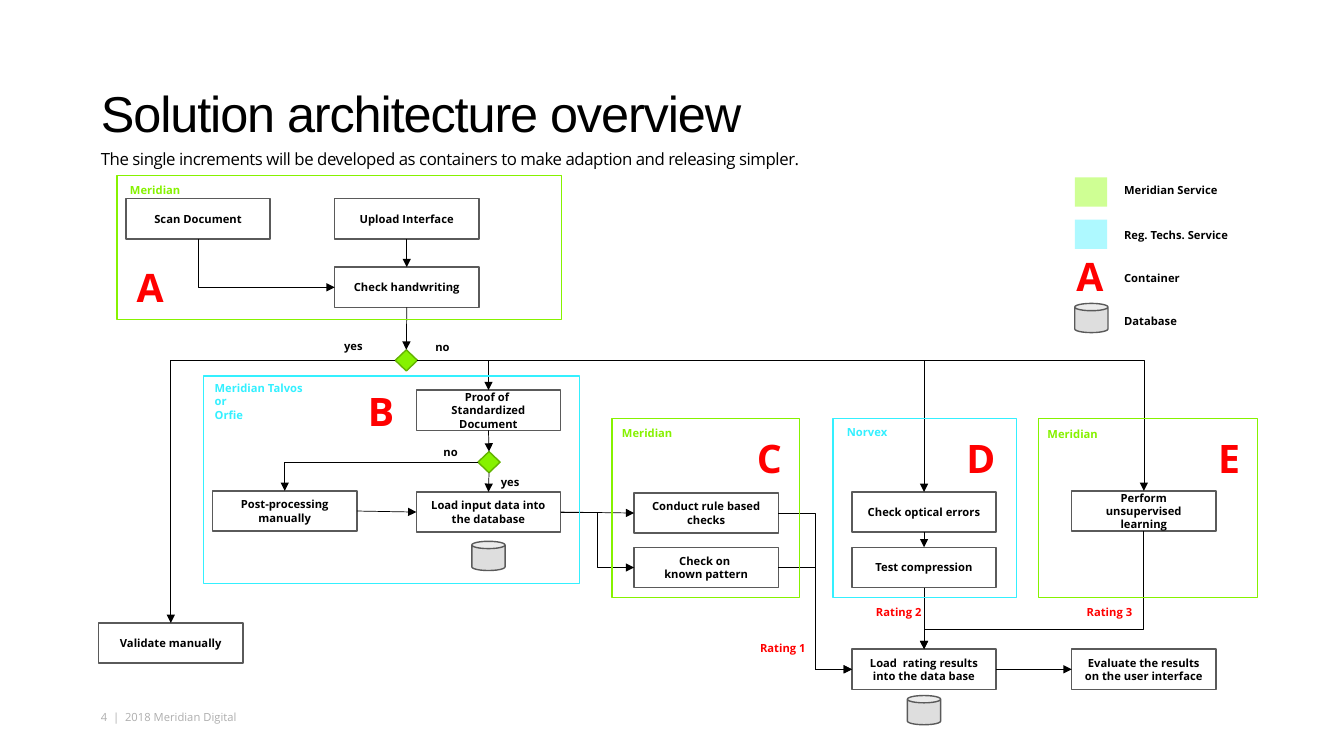
"""Build the solution architecture overview slide."""
import pptx
import pptx.dml.color
import pptx.enum.shapes
import pptx.enum.text
import pptx.oxml
import pptx.oxml.ns
import pptx.util

Inches = pptx.util.Inches
RGBColor = pptx.dml.color.RGBColor
Shape = pptx.enum.shapes.MSO_SHAPE
Connector = pptx.enum.shapes.MSO_CONNECTOR
Anchor = pptx.enum.text.MSO_ANCHOR
Align = pptx.enum.text.PP_ALIGN

BLACK = RGBColor(0x00, 0x00, 0x00)
WHITE = RGBColor(0xFF, 0xFF, 0xFF)
RED = RGBColor(0xFF, 0x00, 0x00)
GREEN = RGBColor(0x86, 0xF2, 0x00)
DARK_GREEN = RGBColor(0x63, 0xB3, 0x00)
PALE_GREEN = RGBColor(0xCF, 0xFF, 0x94)
CYAN = RGBColor(0x34, 0xF0, 0xFF)
PALE_CYAN = RGBColor(0xAE, 0xF9, 0xFF)
GREY = RGBColor(0x5A, 0x5A, 0x5A)
LIGHT_GREY = RGBColor(0xDE, 0xDE, 0xDE)
FOOTER_GREY = RGBColor(0xAE, 0xAE, 0xAE)

BOX_SIZE = (1.43, 0.4)
DIAMOND_SIZE = (0.22, 0.21)
CAN_SIZE = (0.33, 0.29)
LETTER_SIZE = (0.56, 0.49)

BOXES = {
    "handwriting": (3.32, 2.65, "Check handwriting"),
    "scan": (1.25, 1.97, "Scan Document"),
    "upload": (3.32, 1.97, "Upload Interface"),
    "proof": (4.13, 3.87, "Proof of \nStandardized Document"),
    "validate": (0.98, 6.18, "Validate manually"),
    "post": (2.11, 4.87, "Post-processing manually"),
    "load": (4.13, 4.88, "Load input data into the database"),
    "rules": (6.29, 4.89, "Conduct rule based checks"),
    "ratings": (8.45, 6.44, "Load  rating results into the data base"),
    "optical": (8.45, 4.88, "Check optical errors"),
    "compression": (8.45, 5.43, "Test compression"),
    "learning": (10.63, 4.87, "Perform unsupervised learning"),
    "evaluate": (10.63, 6.44, "Evaluate the results on the user interface"),
    "pattern": (6.29, 5.43, "Check on \nknown pattern"),
}
DIAMONDS = {"handwritten": (3.92, 3.47), "standard": (4.74, 4.48)}
FLOWS = [
    ("upload", "bottom", "handwriting", "top"),
    ("handwriting", "bottom", "handwritten", "top"),
    ("scan", "bottom", "handwriting", "left"),
    ("ratings", "right", "evaluate", "left"),
    ("handwritten", "left", "validate", "top"),
    ("standard", "left", "post", "top"),
    ("proof", "bottom", "standard", "top"),
    ("standard", "bottom", "load", "top"),
    ("post", "right", "load", "left"),
    ("load", "right", "rules", "left"),
    ("load", "right", "pattern", "left"),
    ("handwritten", "right", "proof", "top"),
    ("optical", "bottom", "compression", "top"),
    ("compression", "bottom", "ratings", "top"),
    ("rules", "right", "ratings", "left"),
    ("pattern", "right", "ratings", "left"),
    ("learning", "bottom", "ratings", "top", 0.83),
    ("handwritten", "right", "optical", "top"),
    ("handwritten", "right", "learning", "top"),
]
CONTAINERS = [
    (1.16, 1.74, 4.41, 1.43, GREEN),
    (10.3, 4.15, 2.17, 1.78, GREEN),
    (8.26, 4.15, 1.82, 1.78, CYAN),
    (2.02, 3.73, 3.73, 2.06, CYAN),
    (6.07, 4.15, 1.86, 1.78, GREEN),
]
LETTERS = [(1.21, 2.6, "A"), (3.5, 3.83, "B"), (7.35, 4.3, "C"),
           (9.45, 4.3, "D"), (11.91, 4.3, "E"), (10.53, 2.49, "A")]
ANSWERS = [(3.16, 3.29, 0.69, 0.29, "yes"), (4.11, 3.31, 0.56, 0.27, "no"),
           (4.19, 4.35, 0.56, 0.27, "no"), (4.84, 4.63, 0.44, 0.3, "yes")]
LABELS = [
    (2.03, 3.77, 1.41, 0.42, "Meridian Talvos \nor \nOrfie", CYAN),
    (8.3, 4.16, 1.41, 0.25, "Norvex", CYAN),
    (1.19, 1.76, 1.41, 0.25, "Meridian", GREEN),
    (6.07, 4.17, 1.41, 0.25, "Meridian", GREEN),
    (10.29, 4.18, 1.41, 0.25, "Meridian", GREEN),
    (7.44, 6.27, 0.83, 0.32, "Rating 1", RED),
    (8.59, 5.91, 0.83, 0.32, "Rating 2", RED),
    (10.68, 5.91, 0.83, 0.32, "Rating 3", RED),
    (11.05, 1.76, 1.41, 0.26, "Meridian Service", BLACK),
    (11.05, 2.2, 1.41, 0.27, "Reg. Techs. Service", BLACK),
    (11.05, 2.62, 1.41, 0.27, "Container", BLACK),
    (11.05, 3.05, 1.41, 0.27, "Database", BLACK),
]
CANS = [(4.68, 5.37), (9, 6.9), (10.66, 3.01)]
SWATCHES = [(10.66, 1.76, PALE_GREEN), (10.66, 2.18, PALE_CYAN)]


def apply_format(target, values):
    for name, value in values.items():
        setattr(target, name, value)


def write_text(shape, text, size=8, color=BLACK, bold=True, align=Align.LEFT,
               font="Open Sans", spacing=None, **frame_format):
    frame = shape.text_frame
    apply_format(frame, {"word_wrap": True, "vertical_anchor": Anchor.MIDDLE, **frame_format})
    paragraph = frame.paragraphs[0]
    paragraph.text = text.replace("\n", "\v")
    paragraph.alignment = align
    for run in paragraph.runs:
        apply_format(run.font, {"name": font, "size": pptx.util.Pt(size), "bold": bold})
        run.font.color.rgb = color
        if spacing is not None:
            run._r.get_or_add_rPr().set("spc", str(spacing))
    return paragraph


def add_label(slide, bounds, text, **text_format):
    shape = slide.shapes.add_textbox(*map(Inches, bounds))
    return write_text(shape, text, **text_format)


def add_block(slide, kind, bounds, fill=None, line=None):
    shape = slide.shapes.add_shape(kind, *map(Inches, bounds))
    shape.shadow.inherit = False
    if fill is None:
        shape.fill.background()
    else:
        shape.fill.solid()
        shape.fill.fore_color.rgb = fill
    if line is None:
        shape.line.fill.background()
    else:
        shape.line.color.rgb = line
        shape.line.width = pptx.util.Pt(1)
    return shape


def side_point(shape, side):
    across = {"left": 0, "right": 1}.get(side, 0.5)
    down = {"top": 0, "bottom": 1}.get(side, 0.5)
    return shape.left + across * shape.width, shape.top + down * shape.height


def add_flow(slide, nodes, source, source_side, target, target_side, bend=0.5):
    """Join two nodes with an arrow whose route follows from the sides it leaves and enters."""
    start_x, start_y = side_point(nodes[source], source_side)
    end_x, end_y = side_point(nodes[target], target_side)
    width, height = end_x - start_x, end_y - start_y
    vertical = source_side in ("top", "bottom")
    same_axis = vertical == (target_side in ("top", "bottom"))
    straight = same_axis and min(abs(width), abs(height)) < Inches(0.05)
    ends = [start_x, start_y, end_x, end_y]
    turned = vertical and not straight
    if turned:
        middle_x, middle_y = (start_x + end_x) / 2, (start_y + end_y) / 2
        ends = [middle_x - height / 2, middle_y + width / 2,
                middle_x + height / 2, middle_y - width / 2]
    kind = Connector.STRAIGHT if straight else Connector.ELBOW
    connector = slide.shapes.add_connector(kind, *map(int, ends))
    connector.line.color.rgb = BLACK
    connector.line.width = pptx.util.Pt(0.5)
    properties = connector._element.spPr
    if turned:
        properties.find(pptx.oxml.ns.qn("a:xfrm")).set("rot", "5400000")
    geometry = properties.find(pptx.oxml.ns.qn("a:prstGeom"))
    if not same_axis:
        geometry.set("prst", "bentConnector2")
    elif not straight:
        adjustments = geometry.find(pptx.oxml.ns.qn("a:avLst"))
        guide = pptx.oxml.parse_xml(f'<a:gd {pptx.oxml.ns.nsdecls("a")} name="adj1" fmla="val {round(bend * 100000)}"/>')
        adjustments.append(guide)
    arrow = pptx.oxml.parse_xml(f'<a:tailEnd {pptx.oxml.ns.nsdecls("a")} type="triangle"/>')
    connector.line._get_or_add_ln().append(arrow)
    properties.append(pptx.oxml.parse_xml(f'<a:effectLst {pptx.oxml.ns.nsdecls("a")}/>'))


def add_headings(slide):
    flush = {"margin_left": 0, "margin_right": 0, "margin_top": 0, "margin_bottom": 0}
    title = slide.shapes.title
    bounds = map(Inches, (1, 0.76, 11.33, 0.65))
    apply_format(title, dict(zip(("left", "top", "width", "height"), bounds)))
    paragraph = write_text(title, "Solution architecture overview", size=36, bold=False, font="Arial", spacing=-80,
                           **{**flush, "margin_top": Inches(0.05), "vertical_anchor": Anchor.BOTTOM})
    paragraph.line_spacing = 0.8
    paragraph = add_label(
        slide, (1, 1.48, 11.33, 0.52),
        "The single increments will be developed as containers to make adaption and releasing simpler.",
        size=12, bold=False, spacing=-30, vertical_anchor=Anchor.TOP, **flush)
    paragraph.space_before = pptx.util.Pt(10)
    add_label(slide, (1, 7.05, 1.38, 0.13), "4  |  2018 Meridian Digital", color=FOOTER_GREY,
              bold=False, **{**flush, "word_wrap": False, "vertical_anchor": Anchor.TOP})


def main():
    presentation = pptx.Presentation()
    presentation.slide_width, presentation.slide_height = Inches(13.33), Inches(7.5)
    slide = presentation.slides.add_slide(presentation.slide_layouts[5])
    add_headings(slide)
    nodes = {}
    for name, (left, top, text) in BOXES.items():
        nodes[name] = add_block(slide, Shape.RECTANGLE, (left, top, *BOX_SIZE), WHITE, GREY)
        write_text(nodes[name], text, align=Align.CENTER)
    for name, corner in DIAMONDS.items():
        nodes[name] = add_block(slide, Shape.DIAMOND, (*corner, *DIAMOND_SIZE), GREEN, DARK_GREEN)
    for flow in FLOWS:
        add_flow(slide, nodes, *flow)
    for *bounds, color in CONTAINERS:
        add_block(slide, Shape.RECTANGLE, bounds, line=color)
    for corner in CANS:
        add_block(slide, Shape.CAN, (*corner, *CAN_SIZE), LIGHT_GREY, GREY)
    for left, top, color in SWATCHES:
        add_block(slide, Shape.RECTANGLE, (left, top, 0.32, 0.29), color)
    for left, top, letter in LETTERS:
        add_label(slide, (left, top, *LETTER_SIZE), letter, size=28, color=RED, align=Align.CENTER)
    for *bounds, text in ANSWERS:
        add_label(slide, bounds, text, align=Align.CENTER)
    for *bounds, text, color in LABELS:
        add_label(slide, bounds, text, color=color)
    presentation.save("out.pptx")


if __name__ == "__main__":
    main()
